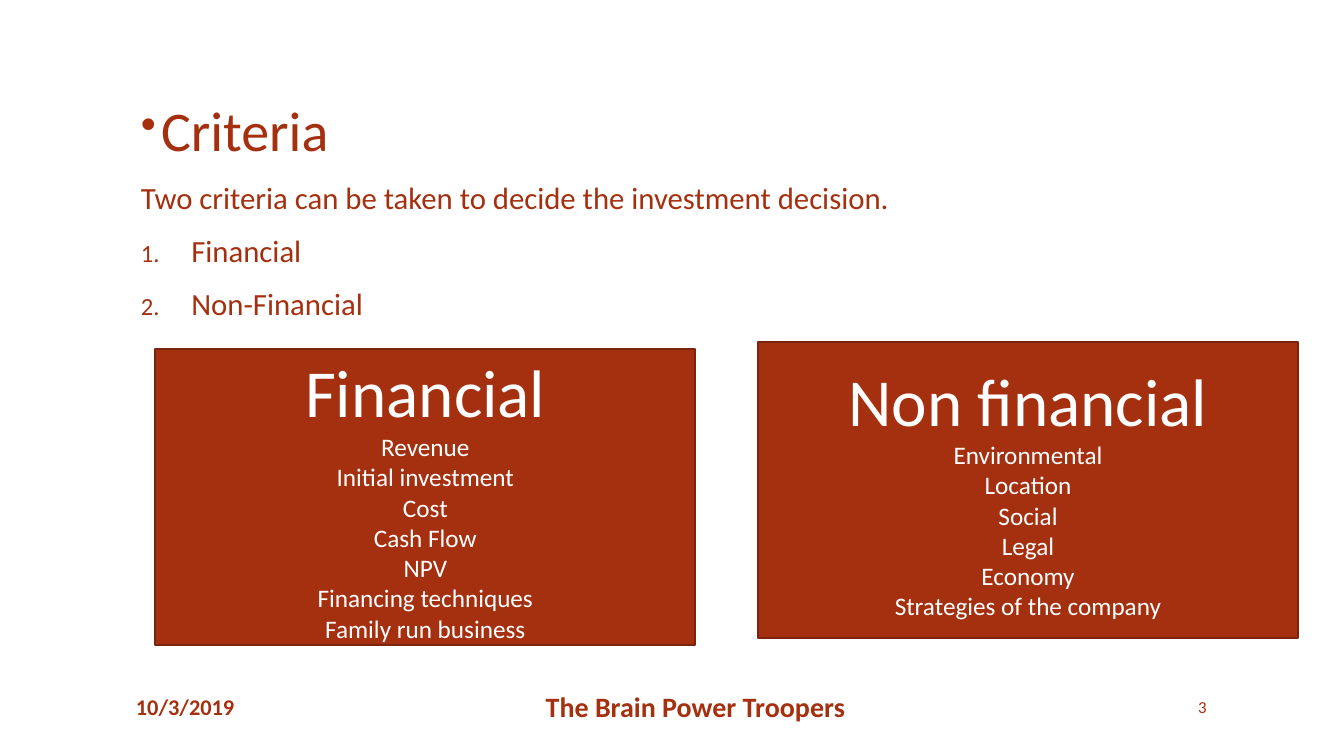
import lxml.etree
import pptx
import pptx.dml.color
import pptx.enum.shapes
import pptx.enum.text
import pptx.oxml.ns
import pptx.util

Pt = pptx.util.Pt
RGBColor = pptx.dml.color.RGBColor
Align = pptx.enum.text.PP_ALIGN
Anchor = pptx.enum.text.MSO_ANCHOR

RUST = RGBColor(0xA5, 0x30, 0x0F)
DARK_RUST = RGBColor(0x7A, 0x24, 0x0B)
WHITE = RGBColor(0xFF, 0xFF, 0xFF)

DOT = ("buChar", {"char": "•"})
NUMBER = ("buAutoNum", {"type": "arabicPeriod"})

CRITERIA = [
    ("Criteria", 40, 18, -14.4, DOT),
    ("Two criteria can be taken to decide the investment decision.", 22, 3.6, 0, None),
    ("Financial", 22, 39.6, -36, NUMBER),
    ("Non-Financial", 22, 39.6, -36, NUMBER),
]
PANELS = [
    (110.9, 249.1, "Financial",
     ["Revenue", "Initial investment", "Cost", "Cash Flow", "NPV",
      "Financing techniques", "Family run business"]),
    (541.4, 244.1, "Non financial",
     ["Environmental", "Location", "Social", "Legal", "Economy",
      "Strategies of the company"]),
]
FOOTERS = [
    ("10/3/2019", 90, 183.6, 16, True, Align.LEFT),
    ("The Brain Power Troopers", 311, 371.5, 20, True, Align.CENTER),
    ("3", 734.4, 134.6, 12, False, Align.RIGHT),
]


def apply_format(target, values):
    for name, value in values.items():
        setattr(target, name, value)


def add_bullet(paragraph, bullet):
    properties = paragraph._p.get_or_add_pPr()

    def add_element(parent, tag, **attributes):
        return lxml.etree.SubElement(parent, pptx.oxml.ns.qn("a:" + tag), **attributes)

    color = add_element(properties, "buClr")
    add_element(color, "srgbClr", val=str(RUST))
    add_element(properties, "buSzPct", val="80000")
    tag, attributes = bullet
    add_element(properties, tag, **attributes)


def write_paragraph(frame, index, text, size, color, bold=False, **layout):
    paragraph = frame.paragraphs[0] if index == 0 else frame.add_paragraph()
    apply_format(paragraph, layout)
    run = paragraph.add_run()
    run.text = text
    apply_format(run.font, {"name": "Calibri", "size": Pt(size), "bold": bold})
    run.font.color.rgb = color
    return paragraph


def add_text_box(slide, left, top, width, height, anchor):
    box = slide.shapes.add_textbox(Pt(left), Pt(top), Pt(width), Pt(height))
    apply_format(box.text_frame, {"word_wrap": True, "vertical_anchor": anchor})
    return box.text_frame


def add_criteria(slide):
    frame = add_text_box(slide, 90, 69.8, 778.3, 410.4, Anchor.TOP)
    for index, (text, size, margin, indent, bullet) in enumerate(CRITERIA):
        paragraph = write_paragraph(
            frame, index, text, size, RUST,
            line_spacing=0.9, space_before=Pt(14 if index else 0))
        properties = paragraph._p.get_or_add_pPr()
        properties.set("marL", str(Pt(margin)))
        properties.set("indent", str(Pt(indent)))
        if bullet:
            add_bullet(paragraph, bullet)


def add_panel(slide, left, top, heading, items):
    panel = slide.shapes.add_shape(
        pptx.enum.shapes.MSO_SHAPE.RECTANGLE, Pt(left), Pt(top), Pt(385.9), Pt(211.7))
    panel.shadow.inherit = False
    panel.fill.solid()
    panel.fill.fore_color.rgb = RUST
    panel.line.color.rgb = DARK_RUST
    panel.line.width = Pt(1.5)
    frame = panel.text_frame
    apply_format(frame, {"word_wrap": True, "vertical_anchor": Anchor.MIDDLE})
    for index, text in enumerate([heading] + items):
        write_paragraph(frame, index, text, 18 if index else 48, WHITE,
                        alignment=Align.CENTER)


def add_footer(slide, text, left, width, size, bold, alignment):
    frame = add_text_box(slide, left, 490.3, width, 28.8, Anchor.MIDDLE)
    write_paragraph(frame, 0, text, size, RUST, bold, alignment=alignment)


def main():
    presentation = pptx.Presentation()
    apply_format(presentation, {"slide_width": Pt(960), "slide_height": Pt(540)})
    slide = presentation.slides.add_slide(presentation.slide_layouts[6])
    add_criteria(slide)
    for footer in FOOTERS:
        add_footer(slide, *footer)
    for panel in PANELS:
        add_panel(slide, *panel)
    presentation.save("out.pptx")


if __name__ == "__main__":
    main()
